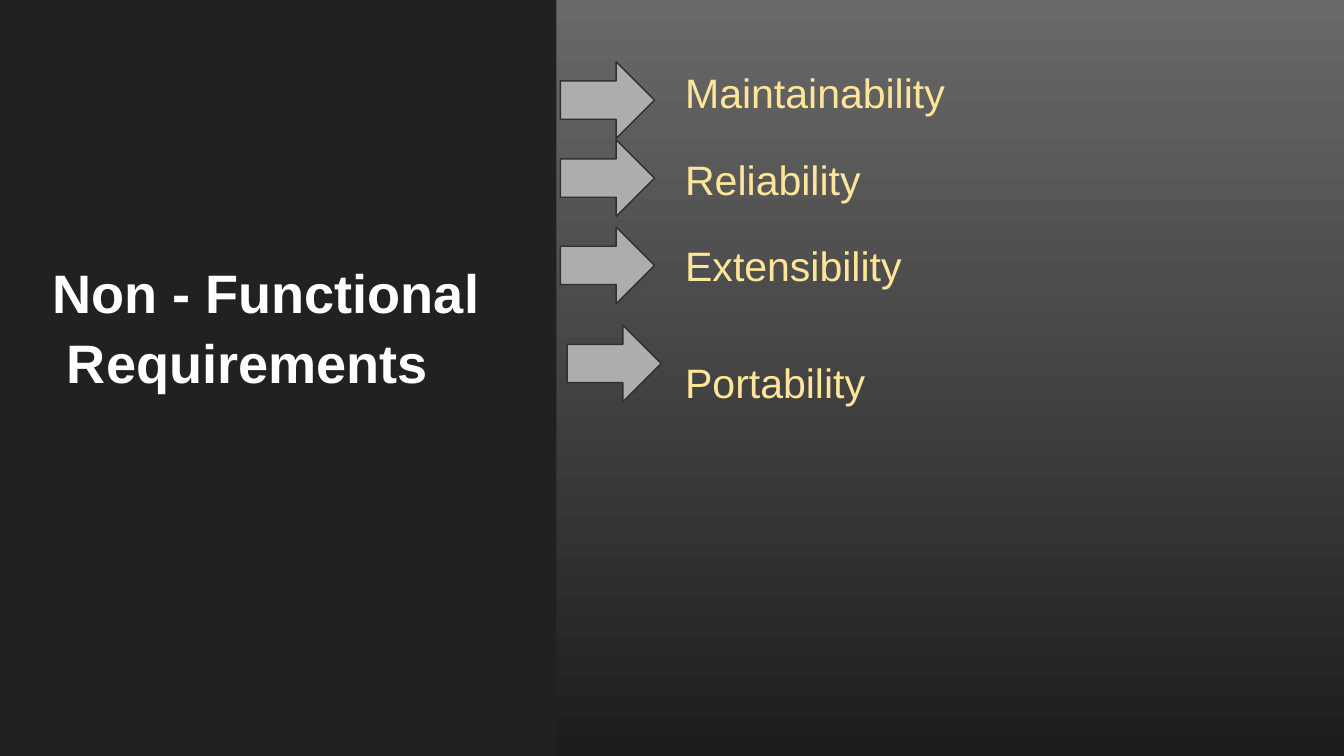
from pptx import Presentation, util as u
from pptx.dml.color import RGBColor
from pptx.enum import shapes, text

CHARCOAL = RGBColor(0x21, 0x21, 0x21)
GRADIENT_TOP = RGBColor(0x69, 0x69, 0x69)
GRADIENT_BOTTOM = RGBColor(0x1D, 0x1D, 0x1D)
WHITE = RGBColor(0xFF, 0xFF, 0xFF)
CREAM = RGBColor(0xFF, 0xE5, 0x99)
ARROW_GREY = RGBColor(0xAD, 0xAD, 0xAD)
ARROW_EDGE = RGBColor(0x30, 0x30, 0x30)

WIDTH = 10
HEIGHT = WIDTH * 9 / 16
SIDEBAR = 4.14
REQUIREMENTS = [
    ("Maintainability", 0, (0, 0.46)),
    ("Reliability", 16, (0, 1.04)),
    ("Extensibility", 16, (0, 1.69)),
    ("Portability", 32, (0.05, 2.42)),
]


def add_block(slide, preset, box):
    """Add a shadowless, borderless preset shape filling the box."""
    block = slide.shapes.add_shape(preset, *map(u.Inches, box))
    block.shadow.inherit = False
    block.line.fill.background()
    return block


def add_copy(slide, box, lines, size, color, bold=False):
    """Add a top-anchored text box and return its paragraphs."""
    frame = slide.shapes.add_textbox(*map(u.Inches, box)).text_frame
    frame.word_wrap = True
    frame.vertical_anchor = text.MSO_ANCHOR.TOP
    frame.margin_left = frame.margin_right = u.Inches(0.1)
    frame.margin_top = frame.margin_bottom = u.Inches(0.1)
    frame.text = "\n".join(lines)
    for paragraph in frame.paragraphs:
        font = paragraph.runs[0].font
        font.name, font.size, font.bold = "Arial", u.Pt(size), bold
        font.color.rgb = color
    return frame.paragraphs


def add_backdrop(slide, box):
    """Fill the box with a vertical gradient."""
    fill = add_block(slide, shapes.MSO_SHAPE.RECTANGLE, box).fill
    fill.gradient()
    fill.gradient_angle = 270
    for stop, color in zip(fill.gradient_stops, (GRADIENT_TOP, GRADIENT_BOTTOM)):
        stop.color.rgb = color


def add_sidebar(slide, box):
    """Draw the dark sidebar with the slide title."""
    left, top, width, height = box
    panel = add_block(slide, shapes.MSO_SHAPE.RECTANGLE, box)
    panel.fill.solid()
    panel.fill.fore_color.rgb = CHARCOAL
    title_box = (left + 0.28, top + 1.79, width - 0.68, 1.49)
    title, = add_copy(slide, title_box, ["Non - Functional Requirements"], 29, WHITE, True)
    title.line_spacing = 1.08
    title.space_before = u.Pt(1)
    properties = title._p.get_or_add_pPr()
    properties.set("marL", str(u.Inches(0.12)))
    properties.set("indent", str(u.Inches(-0.11)))


def add_requirements(slide, box):
    """List the requirements with an arrow beside each one."""
    left, top, width, height = box
    names = [name for name, _, _ in REQUIREMENTS]
    list_box = (left + 0.86, top + 0.35, width - 1.36, 4.19)
    paragraphs = add_copy(slide, list_box, names, 22, CREAM)
    for paragraph, (_, gap, (shift, drop)) in zip(paragraphs, REQUIREMENTS):
        paragraph.line_spacing = 1.15
        paragraph.space_before = u.Pt(gap)
        arrow_box = (left + 0.03 + shift, top + drop, 0.7, 0.57)
        arrow = add_block(slide, shapes.MSO_SHAPE.RIGHT_ARROW, arrow_box)
        arrow.fill.solid()
        arrow.fill.fore_color.rgb = ARROW_GREY
        arrow.line.color.rgb = ARROW_EDGE
        arrow.line.width = u.Pt(0.75)


def main():
    """Build and save the slide."""
    deck = Presentation()
    deck.slide_width, deck.slide_height = u.Inches(WIDTH), u.Inches(HEIGHT)
    slide = deck.slides.add_slide(deck.slide_layouts[6])
    slide.background.fill.solid()
    slide.background.fill.fore_color.rgb = CHARCOAL
    add_backdrop(slide, (0, 0, WIDTH, HEIGHT))
    add_sidebar(slide, (0, 0, SIDEBAR, HEIGHT))
    add_requirements(slide, (SIDEBAR, 0, WIDTH - SIDEBAR, HEIGHT))
    deck.save("out.pptx")


if __name__ == "__main__":
    main()
